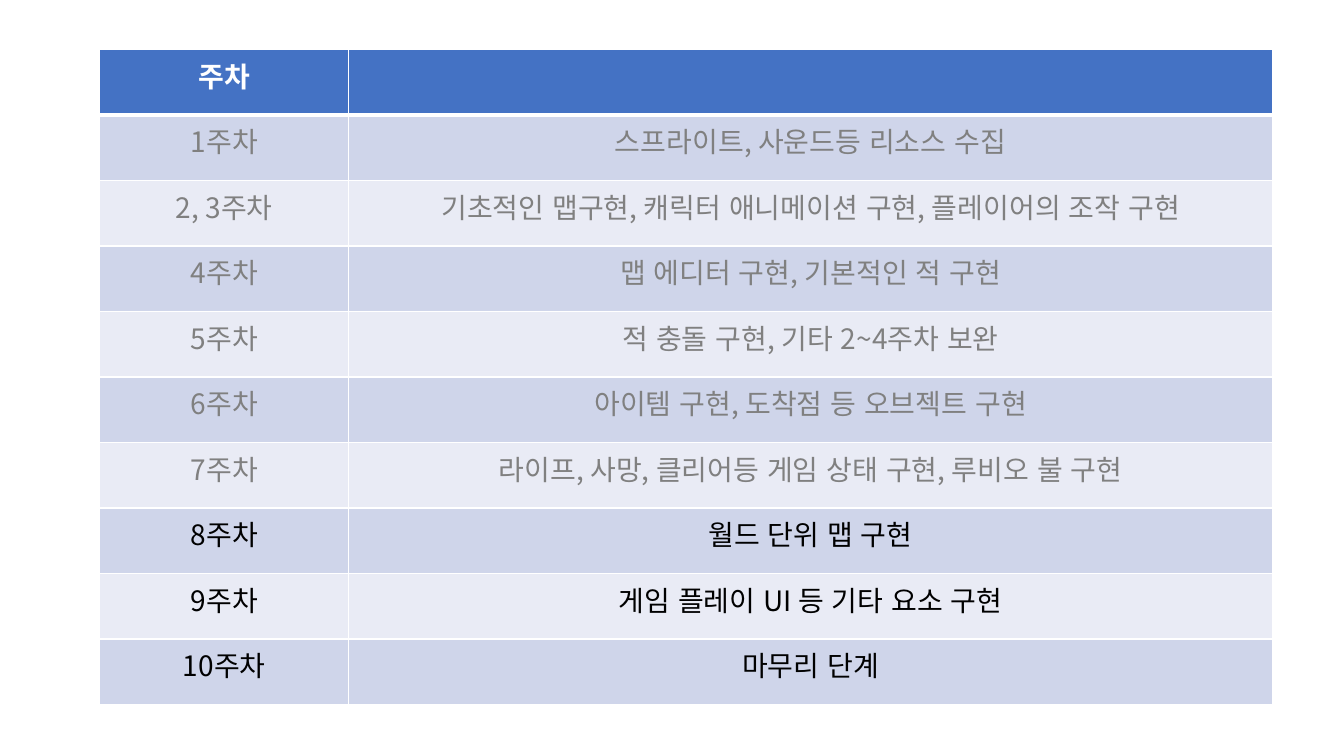
from dataclasses import dataclass

from lxml import etree
from pptx import Presentation
from pptx.dml.color import RGBColor
from pptx.enum.lang import MSO_LANGUAGE_ID
from pptx.enum.text import PP_ALIGN
from pptx.oxml.ns import qn
from pptx.util import Pt

CENTER = PP_ALIGN.CENTER
KOREAN = MSO_LANGUAGE_ID.KOREAN
PX = 9144  # EMU in one px, 100 px to the inch


@dataclass(frozen=True)
class Theme:
    font: str = "Noto Sans CJK KR"
    size: int = 20
    head: str = "4472C4"
    bands: tuple[str, str] = ("CFD5EA", "E9EBF5")
    light: str = "FFFFFF"
    done: str = "808080"
    todo: str = "000000"
    thin: int = 1
    thick: int = 3


@dataclass(frozen=True)
class Week:
    label: str
    task: str
    done: bool = False


THEME = Theme()
LEFT, TOP, ROW = 99, 49, 65
COLS = (247, 916)
WEEKS = (
    Week("1주차", "스프라이트, 사운드등 리소스 수집", True),
    Week("2, 3주차", "기초적인 맵구현, 캐릭터 애니메이션 구현, 플레이어의 조작 구현", True),
    Week("4주차", "맵 에디터 구현, 기본적인 적 구현", True),
    Week("5주차", "적 충돌 구현, 기타 2~4주차 보완", True),
    Week("6주차", "아이템 구현, 도착점 등 오브젝트 구현", True),
    Week("7주차", "라이프, 사망, 클리어등 게임 상태 구현, 루비오 불 구현", True),
    Week("8주차", "월드 단위 맵 구현"),
    Week("9주차", "게임 플레이 UI 등 기타 요소 구현"),
    Week("10주차", "마무리 단계"),
)


def px(count: int) -> int:
    return count * PX


def write(cell, text: str, color: str, bold: bool) -> None:
    para = cell.text_frame.paragraphs[0]
    para.alignment = CENTER
    if not text:
        return
    run = para.add_run()
    run.text = text
    font = run.font
    font.name, font.size, font.bold = THEME.font, Pt(THEME.size), bold
    font.language_id = KOREAN
    font.color.rgb = RGBColor.from_string(color)
    latin = run._r.rPr.find(qn("a:latin"))
    east = etree.Element(qn("a:ea"), typeface=THEME.font)
    latin.addnext(east)


def paint(cell, color: str, top: int, base: int) -> None:
    """Fill a cell and rule its four sides; top and base are in points."""
    cell.fill.solid()
    cell.fill.fore_color.rgb = RGBColor.from_string(color)
    props = cell._tc.get_or_add_tcPr()
    sides = {"L": THEME.thin, "R": THEME.thin, "T": top, "B": base}
    for spot, (side, width) in enumerate(sides.items()):
        line = etree.Element(qn(f"a:ln{side}"), w=str(Pt(width)))
        fill = etree.SubElement(line, qn("a:solidFill"))
        etree.SubElement(fill, qn("a:srgbClr"), val=THEME.light)
        props.insert(spot, line)


def draw_plan(slide) -> None:
    count = len(WEEKS) + 1
    frame = slide.shapes.add_table(
        count, len(COLS), px(LEFT), px(TOP), px(sum(COLS)), px(ROW * count))
    table = frame.table
    for col, width in zip(table.columns, COLS):
        col.width = px(width)
    for row in table.rows:
        row.height = px(ROW)

    for col, text in enumerate(("주차", "")):
        cell = table.cell(0, col)
        write(cell, text, THEME.light, True)
        paint(cell, THEME.head, THEME.thin, THEME.thick)

    for row, week in enumerate(WEEKS, 1):
        color = THEME.done if week.done else THEME.todo
        band = THEME.bands[(row - 1) % 2]
        top = THEME.thick if row == 1 else THEME.thin
        for col, text in enumerate((week.label, week.task)):
            cell = table.cell(row, col)
            write(cell, text, color, False)
            paint(cell, band, top, THEME.thin)


def main() -> None:
    deck = Presentation()
    deck.slide_width, deck.slide_height = px(1333), px(750)
    blank = deck.slide_layouts[6]
    draw_plan(deck.slides.add_slide(blank))
    deck.save("out.pptx")


if __name__ == "__main__":
    main()
